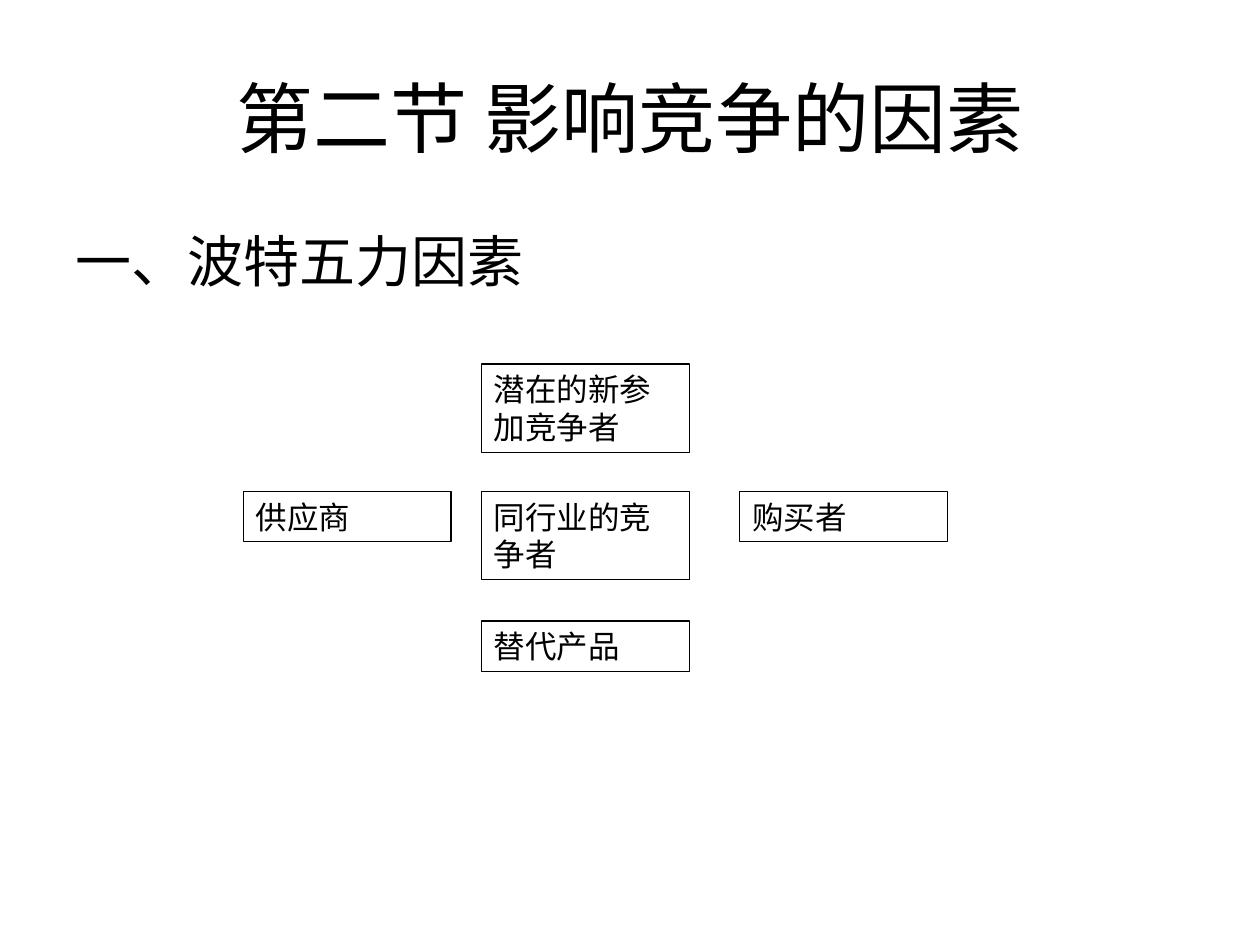
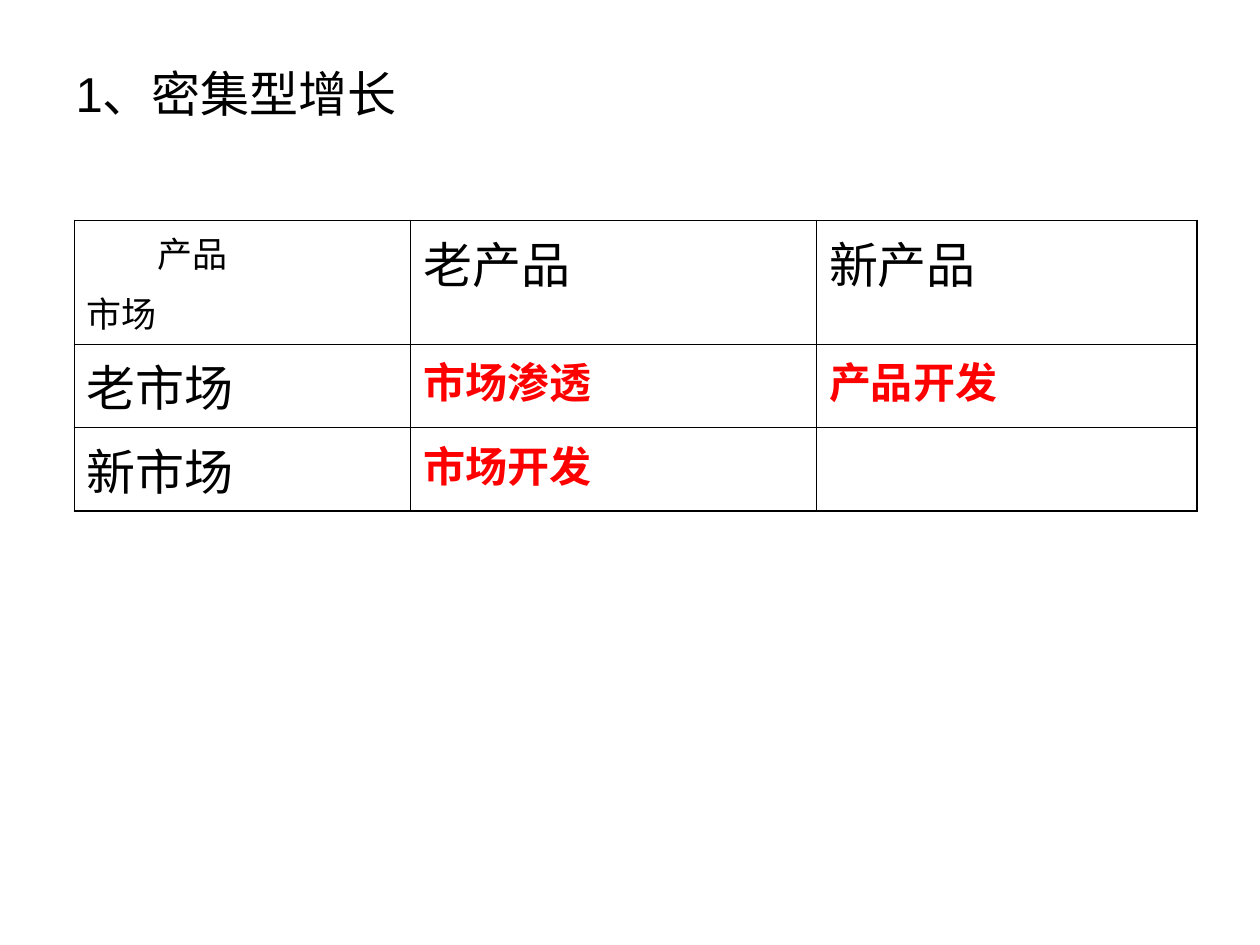
from lxml import etree
from pptx import Presentation
from pptx.dml.color import RGBColor
from pptx.enum import shapes, text
from pptx.oxml.ns import qn
from pptx.util import Inches, Pt

# Content
TITLE = "第二节 影响竞争的因素"
FORCES = "一、波特五力因素"
GROWTH = "1、密集型增长"
# label, column, row, height
BOXES = [
    ("潜在的新参加竞争者", 1, 0, 0.7),
    ("同行业的竞争者", 1, 1, 0.7),
    ("替代产品", 1, 2, 0.4),
    ("供应商", 0, 1, 0.4),
    ("购买者", 2, 1, 0.4),
]
GRID = [
    [("产品", "市场"), ("老产品",), ("新产品",)],
    [("老市场",), ("市场渗透",), ("产品开发",)],
    [("新市场",), ("市场开发",), ()],
]

# Shared look and layout
FONT, BLACK, WHITE, RED = "Arial", "000000", "FFFFFF", "FF0000"
BOX_X, BOX_Y, BOX_W = [1.93, 3.82, 5.87], [2.89, 3.9, 4.93], 1.65
COLS, ROWS = [2.67, 3.22, 3.02], [0.98, 0.57, 0.57]
THICK, THIN = 1.08, 0.45


def color(code):
    return RGBColor.from_string(code)


def write(para, words, size, code=BLACK, bold=False, align=text.PP_ALIGN.LEFT):
    para.alignment = align
    run = para.add_run()
    run.text = words
    font = run.font
    font.name, font.size, font.bold = FONT, Pt(size), bold
    font.color.rgb = color(code)


def place(shape, x, y, w, h):
    shape.left, shape.top, shape.width, shape.height = map(Inches, (x, y, w, h))


def fit(shape, anchor, size=text.MSO_AUTO_SIZE.NONE):
    frame = shape.text_frame
    frame.word_wrap = True
    frame.auto_size = size
    frame.vertical_anchor = anchor
    return frame.paragraphs[0]


def head(shape, words, size, spot):
    place(shape, *spot)
    write(fit(shape, text.MSO_ANCHOR.TOP), words, size)


def box(slide, label, col, row, high):
    shape = slide.shapes.add_shape(
        shapes.MSO_SHAPE.RECTANGLE, Inches(BOX_X[col]), Inches(BOX_Y[row]),
        Inches(BOX_W), Inches(high))
    shape.shadow.inherit = False
    shape.fill.background()
    shape.line.color.rgb = color(BLACK)
    shape.line.width = Pt(0.75)
    para = fit(shape, text.MSO_ANCHOR.TOP, text.MSO_AUTO_SIZE.SHAPE_TO_FIT_TEXT)
    write(para, label, 18)


def border(cell, row, col):
    edges = {"lnL": col == 0, "lnR": col == len(COLS) - 1,
             "lnT": row == 0, "lnB": row == len(ROWS) - 1}
    props = cell._tc.get_or_add_tcPr()
    for spot, (tag, outer) in enumerate(edges.items()):
        line = etree.Element(qn("a:" + tag), w=str(Pt(THICK if outer else THIN)))
        fill = etree.SubElement(line, qn("a:solidFill"))
        etree.SubElement(fill, qn("a:srgbClr"), val=BLACK)
        props.insert(spot, line)


def fill_cell(cell, row, col, lines):
    cell.fill.solid()
    cell.fill.fore_color.rgb = color(WHITE)
    border(cell, row, col)
    inner = row > 0 and col > 0
    size = 24 if inner else 20 if row == col else 28
    frame = cell.text_frame
    for i, words in enumerate(lines):
        para = frame.add_paragraph() if i else frame.paragraphs[0]
        if i:
            para.space_before = Pt(size / 4)
        write(para, words, size, RED if inner else BLACK, inner)


def forces(deck):
    slide = deck.slides.add_slide(deck.slide_layouts[5])
    title = slide.shapes.title
    place(title, 0.5, 0.3, 9, 1.25)
    write(fit(title, text.MSO_ANCHOR.MIDDLE), TITLE, 44,
          align=text.PP_ALIGN.CENTER)
    sub = slide.shapes.add_textbox(0, 0, 0, 0)
    head(sub, FORCES, 32, (0.5, 1.75, 9, 0.66))
    for item in BOXES:
        box(slide, *item)


def growth(deck):
    slide = deck.slides.add_slide(deck.slide_layouts[5])
    head(slide.shapes.title, GROWTH, 28, (0.5, 0.45, 4.42, 0.66))
    table = slide.shapes.add_table(
        len(ROWS), len(COLS), Inches(0.59), Inches(1.75),
        Inches(sum(COLS)), Inches(sum(ROWS))).table
    table.first_row = table.horz_banding = False
    for col, wide in zip(table.columns, COLS):
        col.width = Inches(wide)
    for row, high in zip(table.rows, ROWS):
        row.height = Inches(high)
    for r, cells in enumerate(GRID):
        for c, lines in enumerate(cells):
            fill_cell(table.cell(r, c), r, c, lines)
    # Corner cell: the column label sits to the right of the row label
    corner = table.cell(0, 0).text_frame.paragraphs[0]
    corner._p.get_or_add_pPr().set("marL", str(Inches(0.56)))


def main():
    deck = Presentation()
    deck.slide_width, deck.slide_height = Inches(10), Inches(7.5)
    forces(deck)
    growth(deck)
    deck.save("out.pptx")


if __name__ == "__main__":
    main()
